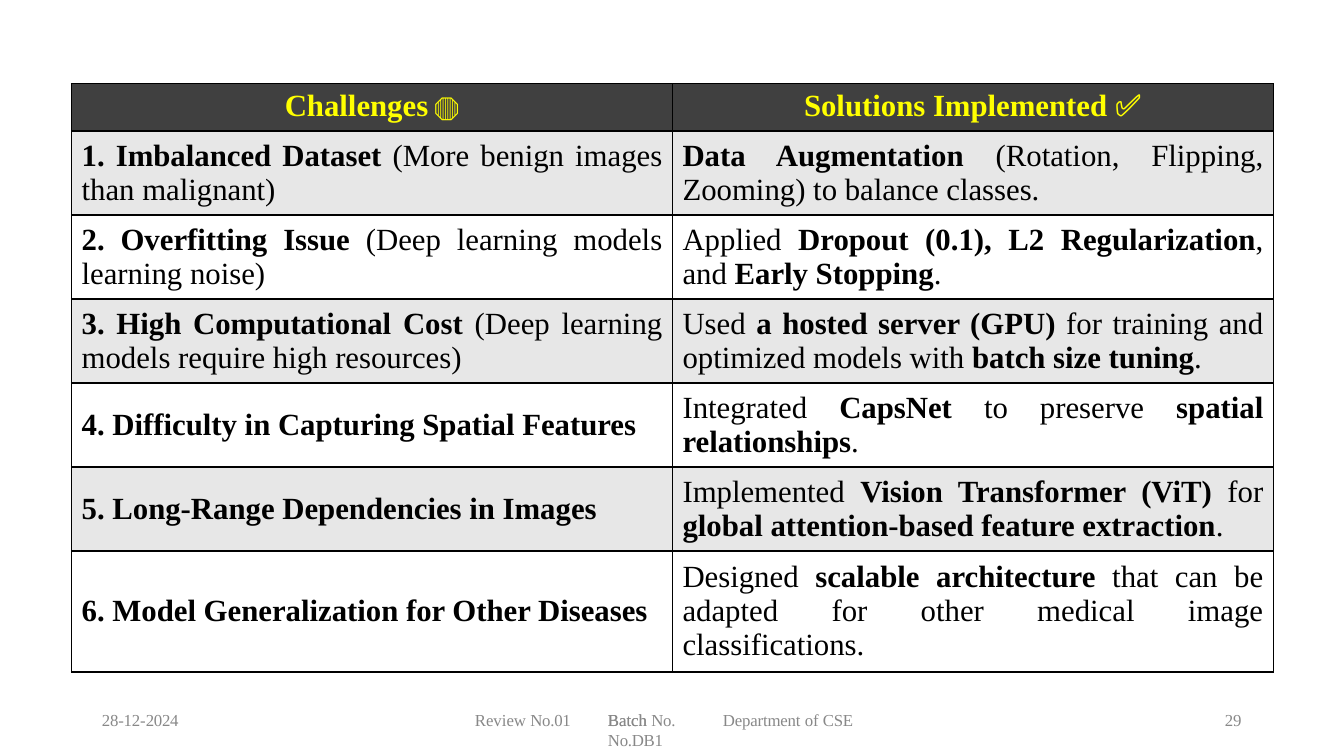
import pptx
import pptx.util
import pptx.dml.color
import pptx.enum.text
import pptx.oxml
import pptx.oxml.ns
import lxml.etree

Inches, Pt = pptx.util.Inches, pptx.util.Pt
ALIGN = pptx.enum.text.PP_ALIGN
ANCHOR = pptx.enum.text.MSO_ANCHOR
qn = pptx.oxml.ns.qn

COLORS = {"header": "404040", "title": "FFFF00", "band": "E7E7E7",
          "plain": "FFFFFF", "ink": "000000", "footer": "888888"}
SERIF = "Times New Roman"

# Text between double asterisks is bold.
ROWS = [
    ("**1. Imbalanced Dataset** (More benign images than malignant)",
     "**Data Augmentation** (Rotation, Flipping, Zooming) to balance classes."),
    ("**2. Overfitting Issue** (Deep learning models learning noise)",
     "Applied **Dropout (0.1), L2 Regularization**, and **Early Stopping**."),
    ("**3. High Computational Cost** (Deep learning models require high resources)",
     "Used **a hosted server (GPU)** for training and optimized models with **batch size tuning**."),
    ("**4. Difficulty in Capturing Spatial Features**",
     "Integrated **CapsNet** to preserve **spatial relationships**."),
    ("**5. Long-Range Dependencies in Images**",
     "Implemented **Vision Transformer (ViT)** for **global attention-based feature extraction**."),
    ("**6. Model Generalization for Other Diseases**",
     "Designed **scalable architecture** that can be adapted for other medical image classifications."),
]
HEADINGS = [[("Challenges", 22, SERIF), (" 🛑", 18, "Calibri")],
            [("Solutions Implemented ✅", 22, SERIF)]]
ROW_HEIGHTS = [0.47] + [0.83] * 5 + [1.2]

# Left, width, and runs with their letter spacing in hundredths of a point.
FOOTERS = [
    (6.02, 0.7, [("Batch ", 0), ("No.", -20)]),
    (1, 0.81, [("28-12-", -10), ("2024", -20)]),
    (12.14, 0.24, [("29", -20)]),
    (7.16, 1.34, [("Department ", -10), ("of ", 0), ("CSE", -20)]),
    (4.7, 1.05, [("Review ", 0), ("No.01", -20)]),
    (6.02, 0.98, [("Batch ", 0), ("No.DB1", -20)]),
]


def add_span(para, text, color, **format_values):
    span = para.add_run()
    span.text = text
    span.font.color.rgb = pptx.dml.color.RGBColor.from_string(COLORS[color])
    for name, value in format_values.items():
        setattr(span.font, name, value)
    return span


def style_cell(cell, fill):
    """Fill the cell and draw a 1 pt line on all four sides."""
    properties = cell._tc.get_or_add_tcPr()
    for side in ("a:lnL", "a:lnR", "a:lnT", "a:lnB"):
        line = lxml.etree.SubElement(properties, qn(side), w=str(Pt(1)))
        solid = lxml.etree.SubElement(line, qn("a:solidFill"))
        lxml.etree.SubElement(solid, qn("a:srgbClr"), val=COLORS["ink"])
    cell.fill.solid()
    cell.fill.fore_color.rgb = pptx.dml.color.RGBColor.from_string(COLORS[fill])


deck = pptx.Presentation()
deck.slide_width, deck.slide_height = Inches(13.33), Inches(7.5)
page = deck.slides.add_slide(deck.slide_layouts[6])

for left, width, spans in FOOTERS:
    box = page.shapes.add_textbox(Inches(left), Inches(7.05), Inches(width), Inches(0.2))
    frame_format = {"margin_left": 0, "margin_right": 0, "margin_top": 0,
                    "margin_bottom": 0, "word_wrap": True}
    for name, value in frame_format.items():
        setattr(box.text_frame, name, value)
    para = box.text_frame.paragraphs[0]
    para.line_spacing = Pt(14.1)
    para._p.get_or_add_pPr().set("marL", str(Inches(0.01)))
    for text, spacing in spans:
        span = add_span(para, text, "footer", size=Pt(12), name=SERIF)
        span._r.get_or_add_rPr().set("spc", str(spacing))

table = page.shapes.add_table(len(ROW_HEIGHTS), 2, Inches(0.71), Inches(0.83),
                              Inches(11.92), Inches(sum(ROW_HEIGHTS))).table
table.horz_banding = False
for row, height in zip(table.rows, ROW_HEIGHTS):
    row.height = Inches(height)

for column, heading in enumerate(HEADINGS):
    cell = table.cell(0, column)
    style_cell(cell, "header")
    para = cell.text_frame.paragraphs[0]
    para.alignment = ALIGN.CENTER
    for text, size, font in heading:
        add_span(para, text, "title", size=Pt(size), name=font, bold=True)

for number, texts in enumerate(ROWS, start=1):
    for column, text in enumerate(texts):
        cell = table.cell(number, column)
        style_cell(cell, "band" if number % 2 else "plain")
        cell.vertical_anchor = ANCHOR.MIDDLE
        para = cell.text_frame.paragraphs[0]
        para.alignment = ALIGN.JUSTIFY
        for index, piece in enumerate(text.split("**")):
            if piece:
                add_span(para, piece, "ink", size=Pt(22), name=SERIF, bold=index % 2 == 1)

deck.save("out.pptx")
